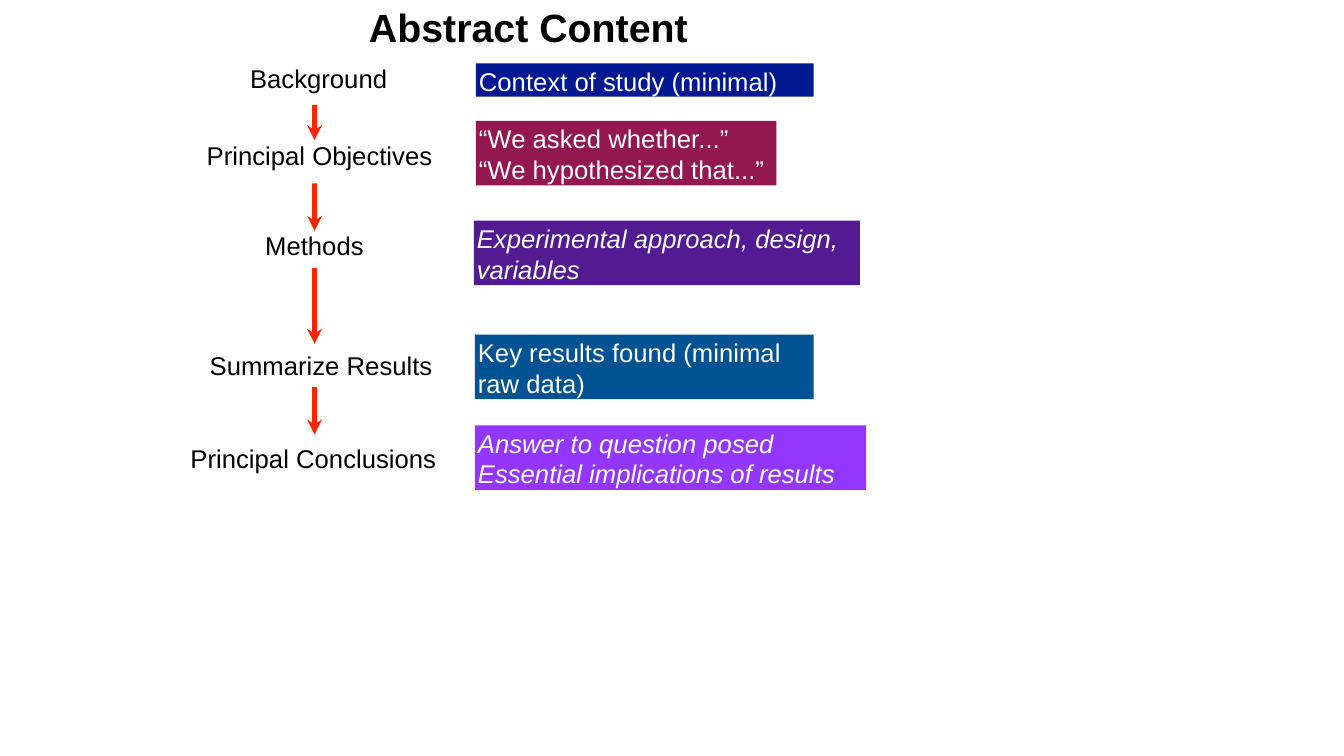
"""Build the Abstract Content slide: five labelled steps, arrows and notes."""
from pptx import Presentation
from pptx.dml.color import RGBColor as RGB
from pptx.enum.shapes import MSO_SHAPE as Shape
from pptx.enum.text import MSO_ANCHOR as Anchor, PP_ALIGN as Align
from pptx.util import Inches, Pt

COLORS = {
    "black": "000000", "white": "FFFFFF", "red": "FF2500", "navy": "001892",
    "wine": "931751", "plum": "521B92", "blue": "005392", "violet": "9337FF",
}
TITLE = ("Abstract Content", (3.65, 0.02, 3.2, 1.26))
LABELS = [
    ("Background", 2.47, 0.61, 1.4),
    ("Principal Objectives", 2.04, 1.38, 2.27),
    ("Methods", 2.62, 2.27, 1.02),
    ("Summarize Results", 2.07, 3.46, 2.24),
    ("Principal Conclusions", 1.88, 4.38, 2.47),
]
NOTES = [
    ("Context of study (minimal)", "navy", False, (4.72, 0.63, 3.35, 0.33)),
    ("“We asked whether...”\v“We hypothesized that...”", "wine", False,
     (4.72, 1.2, 2.98, 0.64)),
    ("Experimental approach, design, variables", "plum", True,
     (4.7, 2.19, 3.83, 0.64)),
    ("Key results found (minimal raw data)", "blue", False,
     (4.71, 3.32, 3.36, 0.64)),
    ("Answer to question posed\vEssential implications of results", "violet",
     True, (4.71, 4.22, 3.88, 0.64)),
]
ARROWS = [(1.04, 1.39), (1.82, 2.29), (2.66, 3.41), (3.84, 4.31)]
MID, STEM, HEAD = 3.12, 0.025, 0.075
BARB, NOTCH = 0.15, 0.115


def color(name):
    return RGB.from_string(COLORS[name])


def paint(shape, name):
    shape.shadow.inherit = False
    shape.fill.solid()
    shape.fill.fore_color.rgb = color(name)
    shape.line.fill.background()


def write(shape, text, hue, size=18.3, left=0.01, top=0.01, gap=0.7,
          bold=False, slant=False):
    frame = shape.text_frame
    frame.word_wrap = True
    frame.vertical_anchor = Anchor.TOP
    frame.margin_left, frame.margin_top = Inches(left), Inches(top)
    frame.margin_right = frame.margin_bottom = 0
    frame.text = text
    para = frame.paragraphs[0]
    para.alignment = Align.LEFT
    para.space_before = Pt(gap)
    font = para.font
    font.name, font.size = "Arial", Pt(size)
    font.bold, font.italic = bold, slant
    font.color.rgb = color(hue)


def arrow(top, tip):
    barb, notch = tip - BARB, tip - NOTCH
    half = [(STEM, top), (STEM, notch), (HEAD, barb)]
    left = [(MID - dx, y) for dx, y in half]
    right = [(MID + dx, y) for dx, y in reversed(half)]
    dots = [(Inches(x), Inches(y)) for x, y in left + [(MID, tip)] + right]
    pen = shapes.build_freeform(*dots[0])
    pen.add_line_segments(dots[1:], close=True)
    paint(pen.convert_to_shape(), "red")


deck = Presentation()
deck.slide_width, deck.slide_height = Inches(13.33), Inches(7.5)
shapes = deck.slides.add_slide(deck.slide_layouts[6]).shapes

text, area = TITLE
write(shapes.add_textbox(*map(Inches, area)), text, "black", 28.1, bold=True)

for text, x, y, width in LABELS:
    box = shapes.add_textbox(*map(Inches, (x, y, width, 0.32)))
    write(box, text, "black")

for text, hue, slant, area in NOTES:
    note = shapes.add_shape(Shape.RECTANGLE, *map(Inches, area))
    paint(note, hue)
    write(note, text, "white", left=0.03, top=0.02, gap=1.5, slant=slant)

for top, tip in ARROWS:
    arrow(top, tip)

deck.save("out.pptx")
